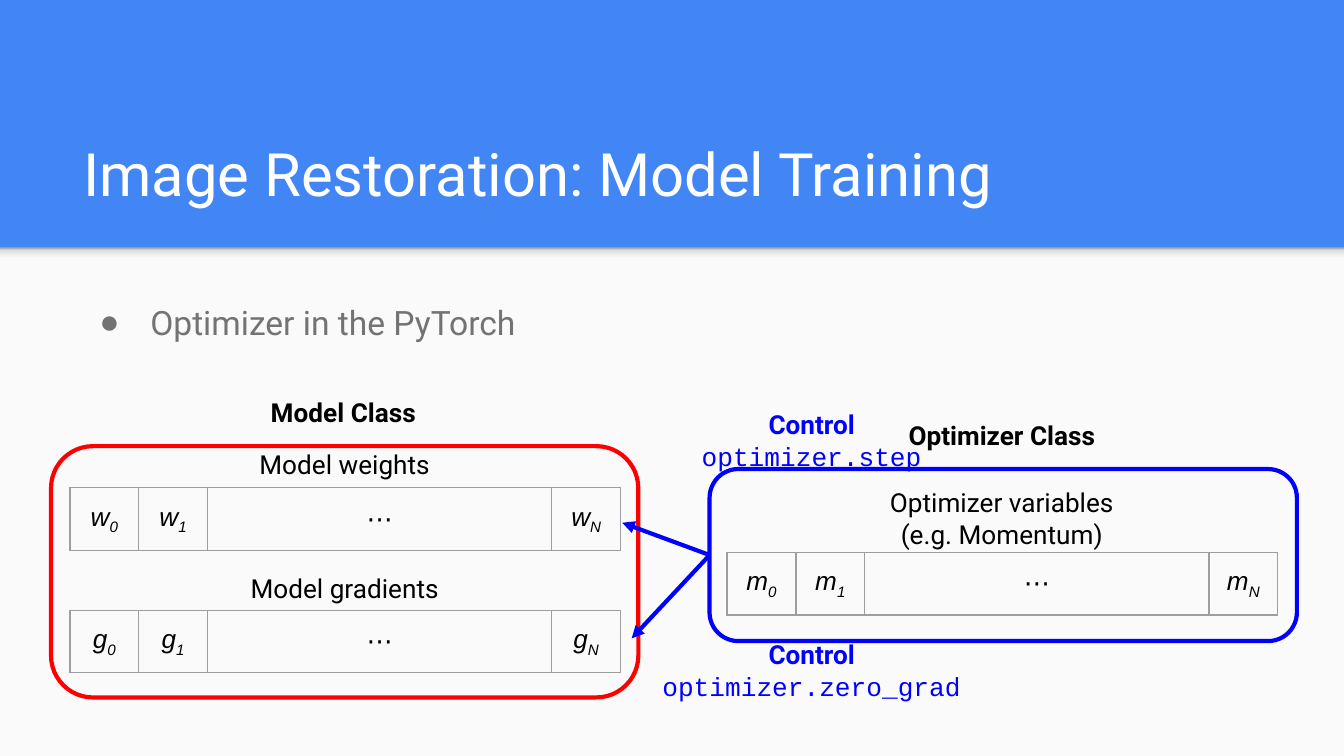
from dataclasses import dataclass
from typing import Any

from lxml import etree
from pptx import Presentation
from pptx.dml.color import RGBColor
from pptx.enum import shapes, text
from pptx.oxml import ns
from pptx.util import Inches, Pt


@dataclass(frozen=True)
class Theme:
    band: str = "4285F4"
    page: str = "FAFAFA"
    white: str = "FFFFFF"
    grey: str = "737373"
    black: str = "000000"
    blue: str = "0000FF"
    red: str = "FF0000"
    border: str = "9E9E9E"
    shadow: tuple = ((0, "F9F9F9"), (36, "F9F9F9"), (80, "DEDEDE"), (100, "999999"))
    title_size: float = 32
    body_size: float = 18
    label_size: float = 14
    line_width: float = 2.25
    border_width: float = 0.75
    sans: str = "Roboto"
    math: str = "Arial"
    code: str = "Courier New"


THEME = Theme()


@dataclass(frozen=True)
class Box:
    left: float
    top: float
    width: float
    height: float

    def lengths(self) -> list:
        return [Inches(v) for v in (self.left, self.top, self.width, self.height)]


@dataclass(frozen=True)
class Style:
    size: float = THEME.label_size
    color: str = THEME.black
    font: str = THEME.sans
    bold: bool = False
    italic: bool = False


@dataclass(frozen=True)
class Label:
    box: Box
    lines: tuple  # pairs of wording and Style
    align: Any = text.PP_ALIGN.CENTER
    anchor: Any = text.MSO_ANCHOR.MIDDLE


@dataclass(frozen=True)
class VectorRow:
    """A vector shown as first, second, dots and last element."""
    symbol: str
    left: float
    top: float


PLAIN = Style()
BOLD = Style(bold=True)
CONTROL = Style(color=THEME.blue, bold=True)
CODE = Style(color=THEME.blue, font=THEME.code)
MATH = Style(font=THEME.math, italic=True)
DOTS = Style(font=THEME.math)

SLIDE_WIDTH = 10
SLIDE_HEIGHT = SLIDE_WIDTH * 9 / 16
PAGE_TOP = 1.84
TITLE = Label(Box(0.52, 0.81, 8.99, 0.84),
              (("Image Restoration: Model Training",
                Style(THEME.title_size, THEME.white)),),
              text.PP_ALIGN.LEFT, text.MSO_ANCHOR.BOTTOM)
BODY = Label(Box(0.52, 2.1, 8.99, 2.96),
             (("Optimizer in the PyTorch", Style(THEME.body_size, THEME.grey)),),
             text.PP_ALIGN.LEFT, text.MSO_ANCHOR.TOP)
LABELS = (
    Label(Box(1.58, 3.29, 1.97, 0.33), (("Model weights", PLAIN),)),
    Label(Box(1.58, 4.21, 1.97, 0.33), (("Model gradients", PLAIN),)),
    Label(Box(6.47, 3.6, 1.97, 0.51),
          (("Optimizer variables", PLAIN), ("(e.g. Momentum)", PLAIN))),
    Label(Box(6.47, 2.98, 1.97, 0.51), (("Optimizer Class", BOLD),)),
    Label(Box(1.57, 2.81, 1.97, 0.51), (("Model Class", BOLD),)),
    Label(Box(4.62, 3.06, 2.84, 0.43),
          (("Control", CONTROL), ("optimizer.step", CODE))),
    Label(Box(4.62, 4.77, 2.84, 0.43),
          (("Control", CONTROL), ("optimizer.zero_grad", CODE))),
)
VECTORS = (VectorRow("w", 0.52, 3.63), VectorRow("g", 0.52, 4.54),
           VectorRow("m", 5.41, 4.11))
COLUMNS, VECTOR_WIDTH, ROW_HEIGHT = 8, 4.1, 0.42
MODEL_FRAME = Box(0.38, 3.32, 4.37, 1.87)
OPTIMIZER_FRAME = Box(5.28, 3.49, 4.37, 1.28)
ARROW_TIPS = ((4.63, 3.89), (4.7, 4.75))
MARGINS = {f"margin_{side}": Inches(0.1) for side in ("left", "top", "right", "bottom")}


def rgb(color: str) -> RGBColor:
    return RGBColor.from_string(color)


def child(parent, tag: str, **attributes):
    element = etree.SubElement(parent, ns.qn(tag))
    for name, value in attributes.items():
        element.set(name, str(value))
    return element


def set_all(target, values: dict) -> None:
    for name, value in values.items():
        setattr(target, name, value)


def add_run(paragraph, wording: str, style: Style, subscript: bool = False) -> None:
    run = paragraph.add_run()
    run.text = wording
    set_all(run.font, {"name": style.font, "size": Pt(style.size),
                       "bold": style.bold, "italic": style.italic})
    run.font.color.rgb = rgb(style.color)
    if subscript:
        run.font._element.set("baseline", "-25000")


def add_label(slide, label: Label):
    shape = slide.shapes.add_textbox(*label.box.lengths())
    frame = shape.text_frame
    set_all(frame, {"word_wrap": True, "vertical_anchor": label.anchor, **MARGINS})
    for index, (wording, style) in enumerate(label.lines):
        paragraph = frame.add_paragraph() if index else frame.paragraphs[0]
        paragraph.alignment = label.align
        add_run(paragraph, wording, style)
    return shape


def add_bullet(paragraph) -> None:
    paragraph.line_spacing = 1.15
    properties = paragraph._p.get_or_add_pPr()
    properties.set("marL", str(Inches(0.5)))
    properties.set("indent", str(Inches(-0.38)))
    child(child(properties, "a:buClr"), "a:srgbClr", val=THEME.grey)
    child(properties, "a:buFont", typeface=THEME.math)
    child(properties, "a:buChar", char="●")


def add_panel(slide, box: Box):
    shape = slide.shapes.add_shape(shapes.MSO_SHAPE.RECTANGLE, *box.lengths())
    shape.shadow.inherit = False
    shape.line.fill.background()
    return shape


def add_page(slide) -> None:
    """Light page under the title band, with the band's soft shadow."""
    page = add_panel(slide, Box(0, PAGE_TOP, SLIDE_WIDTH, SLIDE_HEIGHT - PAGE_TOP))
    page.fill.solid()
    page.fill.fore_color.rgb = rgb(THEME.page)
    shadow = add_panel(slide, Box(0, PAGE_TOP, SLIDE_WIDTH, 0.12))
    shadow.fill.gradient()
    shadow.fill.gradient_angle = 90
    stops = shadow._element.spPr.find(ns.qn("a:gradFill")).find(ns.qn("a:gsLst"))
    for stop in list(stops):
        stops.remove(stop)
    for position, color in THEME.shadow:
        child(child(stops, "a:gs", pos=position * 1000), "a:srgbClr", val=color)


def add_frame(slide, box: Box, color: str):
    shape = slide.shapes.add_shape(shapes.MSO_SHAPE.ROUNDED_RECTANGLE, *box.lengths())
    shape.shadow.inherit = False
    shape.adjustments[0] = 0.167
    shape.fill.background()
    shape.line.color.rgb = rgb(color)
    shape.line.width = Pt(THEME.line_width)
    return shape


def add_vector(slide, row: VectorRow) -> None:
    box = Box(row.left, row.top, VECTOR_WIDTH, ROW_HEIGHT)
    table = slide.shapes.add_table(1, COLUMNS, *box.lengths()).table
    set_all(table, {"first_row": False, "horz_banding": False})
    for cell in table.iter_cells():
        properties = cell._tc.get_or_add_tcPr()
        for tag in ("a:lnL", "a:lnR", "a:lnT", "a:lnB"):
            line = child(properties, tag, w=Pt(THEME.border_width))
            child(child(line, "a:solidFill"), "a:srgbClr", val=THEME.border)
        cell.fill.background()
        set_all(cell, {"vertical_anchor": text.MSO_ANCHOR.MIDDLE, **MARGINS})
    table.cell(0, 2).merge(table.cell(0, COLUMNS - 2))
    for column in range(3, COLUMNS - 1):
        paragraph = table.cell(0, column).text_frame.paragraphs[0]
        child(paragraph._p, "a:endParaRPr", sz=int(THEME.label_size * 100))
    for column, index in ((0, "0"), (1, "1"), (2, None), (COLUMNS - 1, "N")):
        paragraph = table.cell(0, column).text_frame.paragraphs[0]
        paragraph.alignment = text.PP_ALIGN.CENTER
        if index is None:
            add_run(paragraph, "⋯", DOTS)
        else:
            add_run(paragraph, row.symbol, MATH)
            add_run(paragraph, index, MATH, subscript=True)


def add_arrow(slide, source, tip: tuple) -> None:
    """Arrow from the middle of the source's left side to the tip."""
    end = [Inches(v) for v in tip]
    arrow = slide.shapes.add_connector(shapes.MSO_CONNECTOR.STRAIGHT, 0, 0, *end)
    arrow.begin_connect(source, 1)
    arrow.line.color.rgb = rgb(THEME.blue)
    arrow.line.width = Pt(THEME.line_width)
    child(arrow.line._get_or_add_ln(), "a:tailEnd", type="triangle")
    child(arrow._element.spPr, "a:effectLst")


def main() -> None:
    presentation = Presentation()
    set_all(presentation, {"slide_width": Inches(SLIDE_WIDTH),
                           "slide_height": Inches(SLIDE_HEIGHT)})
    slide = presentation.slides.add_slide(presentation.slide_layouts[6])
    slide.background.fill.solid()
    slide.background.fill.fore_color.rgb = rgb(THEME.band)
    add_page(slide)
    add_label(slide, TITLE)
    add_bullet(add_label(slide, BODY).text_frame.paragraphs[0])
    optimizer = add_frame(slide, OPTIMIZER_FRAME, THEME.blue)
    for row in VECTORS:
        add_vector(slide, row)
    add_frame(slide, MODEL_FRAME, THEME.red)
    for tip in ARROW_TIPS:
        add_arrow(slide, optimizer, tip)
    for label in LABELS:
        add_label(slide, label)
    presentation.save("out.pptx")


if __name__ == "__main__":
    main()
